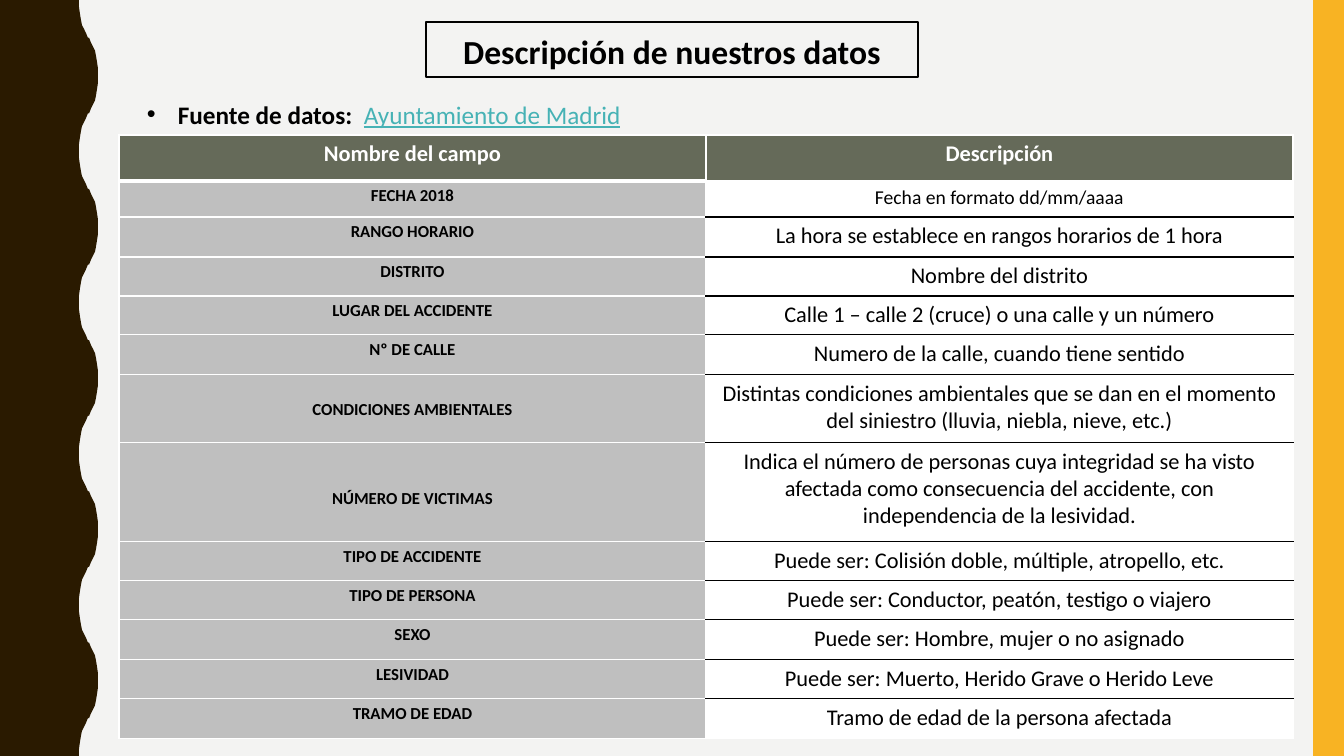
from lxml.etree import SubElement
from pptx import Presentation
from pptx.dml.color import RGBColor
from pptx.enum.shapes import MSO_SHAPE as SHAPE
from pptx.enum.text import MSO_ANCHOR as ANCHOR, PP_ALIGN as ALIGN
from pptx.oxml import parse_xml
from pptx.oxml.ns import nsdecls, qn
from pptx.util import Pt

WIDTH, HEIGHT = 1344, 756
EMU_PER_PX = 12192000 / WIDTH
FONT = "Calibri"
BLACK, WHITE = "000000", "FFFFFF"
BROWN, YELLOW, PAPER = "2A1A00", "F8B323", "F3F3F2"
OLIVE, GRAY, TEAL = "656A59", "BFBFBF", "46B2B5"

HEADER = ("Nombre del campo", "Descripción")
# Field, description, row height
FIELDS = [
    ("FECHA 2018", "Fecha en formato dd/mm/aaaa", 36),
    ("RANGO HORARIO", "La hora se establece en rangos horarios de 1 hora", 40),
    ("DISTRITO", "Nombre del distrito", 39),
    ("LUGAR DEL ACCIDENTE", "Calle 1 – calle 2 (cruce) o una calle y un número", 39),
    ("Nº DE CALLE", "Numero de la calle, cuando tiene sentido", 40),
    ("CONDICIONES AMBIENTALES",
     "Distintas condiciones ambientales que se dan en el momento del siniestro "
     "(lluvia, niebla, nieve, etc.)", 68),
    ("NÚMERO DE VICTIMAS",
     "Indica el número de personas cuya integridad se ha visto afectada como "
     "consecuencia del accidente, con independencia de la lesividad.", 99),
    ("TIPO DE ACCIDENTE", "Puede ser: Colisión doble, múltiple, atropello, etc.", 39),
    ("TIPO DE PERSONA", "Puede ser: Conductor, peatón, testigo o viajero", 39),
    ("SEXO", "Puede ser: Hombre, mujer o no asignado", 40),
    ("LESIVIDAD", "Puede ser: Muerto, Herido Grave o Herido Leve", 39),
    ("TRAMO DE EDAD", "Tramo de edad de la persona afectada", 40),
]
HEADER_HEIGHT = 46
# Extra space above the names in the tall rows
NAME_DROP = {"CONDICIONES AMBIENTALES": 20, "NÚMERO DE VICTIMAS": 41}


def px(length):
    return round(length * EMU_PER_PX)


def color(hex_string):
    return RGBColor.from_string(hex_string)


def paint(shape, fill=None, line=None, weight=1):
    shape.shadow.inherit = False
    if fill:
        shape.fill.solid()
        shape.fill.fore_color.rgb = color(fill)
    else:
        shape.fill.background()
    if line:
        shape.line.color.rgb = color(line)
        shape.line.width = Pt(weight)
    else:
        shape.line.fill.background()


def write(paragraph, text, size=16, ink=BLACK, bold=False, underline=False, align=ALIGN.LEFT):
    paragraph.alignment = align
    run = paragraph.add_run()
    run.text = text
    font = run.font
    font.name, font.size, font.bold, font.underline = FONT, Pt(size), bold, underline
    font.color.rgb = color(ink)


def add_rect(slide, box, **look):
    paint(slide.shapes.add_shape(SHAPE.RECTANGLE, *map(px, box)), **look)


def add_text_line(slide, box):
    """Add a text box and return its first paragraph."""
    frame = slide.shapes.add_textbox(*map(px, box)).text_frame
    frame.word_wrap = True
    return frame.paragraphs[0]


def add_wavy_band(slide, left, top, width, height, waves=5):
    rise = [(0, 0), (0, 7), (1, 14), (2, 20), (3, 25), (5, 29), (7, 33), (9, 38)]
    depth, half = 19, height / waves / 2
    swing = rise + [(depth - x, half - y) for x, y in reversed(rise)]
    wave = swing + [(x, 2 * half - y) for x, y in reversed(swing)]
    crest = left + width - depth
    edge = [(crest + x, top + n * 2 * half + y) for n in range(waves) for x, y in wave]
    outline = [*edge, (crest, top + height), (left, top + height)]
    builder = slide.shapes.build_freeform(px(left), px(top))
    builder.add_line_segments([(px(x), px(y)) for x, y in outline], close=True)
    paint(builder.convert_to_shape(), fill=BROWN)


def add_title(slide, left, top, width, height):
    line = add_text_line(slide, (0, top + 4, WIDTH, height - 4))
    write(line, "Descripción de nuestros datos", size=24, bold=True, align=ALIGN.CENTER)
    add_rect(slide, (left, top, width, height), line=BLACK, weight=2)


def add_source_line(slide, *box):
    line = add_text_line(slide, box)
    properties = line._p.get_or_add_pPr()
    properties.set("marL", str(px(31)))
    properties.set("indent", str(px(-31)))
    SubElement(properties, qn("a:buFont")).set("typeface", "Arial")
    SubElement(properties, qn("a:buChar")).set("char", "•")
    write(line, "Fuente de datos:  ", size=18, bold=True)
    write(line, "Ayuntamiento de Madrid", size=18, ink=TEAL, underline=True)


def set_borders(cell, **sides):
    """Draw cell borders; each side L, R, T, B is a (colour, points) pair."""
    properties = cell._tc.get_or_add_tcPr()
    for place, side in enumerate(s for s in "LRTB" if s in sides):
        ink, points = sides[side]
        properties.insert(place, parse_xml(
            f'<a:ln{side} {nsdecls("a")} w="{Pt(points)}"><a:solidFill>'
            f'<a:srgbClr val="{ink}"/></a:solidFill></a:ln{side}>'))


def fill_cell(cell, text, fill, borders, drop=0, **style):
    cell.fill.solid()
    cell.fill.fore_color.rgb = color(fill)
    cell.vertical_anchor = ANCHOR.TOP
    cell.margin_top = px(5 + drop)
    set_borders(cell, **borders)
    write(cell.text_frame.paragraphs[0], text, align=ALIGN.CENTER, **style)


def add_field_table(slide, left, top, width):
    heights = [HEADER_HEIGHT] + [height for _, _, height in FIELDS]
    table = slide.shapes.add_table(
        len(heights), 2, *map(px, (left, top, width, sum(heights)))).table
    table.horz_banding = False
    for column in table.columns:
        column.width = px(width / 2)
    for row, height in zip(table.rows, heights):
        row.height = px(height)

    white, thick, black = (WHITE, 1), (WHITE, 3), (BLACK, 1)
    for column, (label, below) in enumerate(zip(HEADER, (thick, white))):
        fill_cell(table.cell(0, column), label, OLIVE,
                  dict(L=white, R=white, T=white, B=below), ink=WHITE, bold=True)
    for row, (name, description, _) in enumerate(FIELDS, 1):
        first, last = row == 1, row == len(FIELDS)
        fill_cell(table.cell(row, 0), name, GRAY,
                  dict(L=white, R=white, T=thick if first else white, B=white),
                  drop=NAME_DROP.get(name, 0), size=12, bold=True)
        fill_cell(table.cell(row, 1), description, WHITE,
                  dict(L=white, R=white, T=white if first else black,
                       B=white if last else black),
                  size=14 if first else 16)


def build_data_slide(deck):
    slide = deck.slides.add_slide(deck.slide_layouts[6])
    slide.background.fill.solid()
    slide.background.fill.fore_color.rgb = color(PAPER)
    add_wavy_band(slide, 0, 0, 98, HEIGHT)
    add_rect(slide, (1313, 0, WIDTH - 1313, HEIGHT), fill=YELLOW)
    add_title(slide, 426, 22, 492, 55)
    add_source_line(slide, 137, 94, 647, 40)
    add_field_table(slide, 119, 135, 1174)


def main():
    deck = Presentation()
    deck.slide_width, deck.slide_height = px(WIDTH), px(HEIGHT)
    build_data_slide(deck)
    deck.save("out.pptx")


if __name__ == "__main__":
    main()
